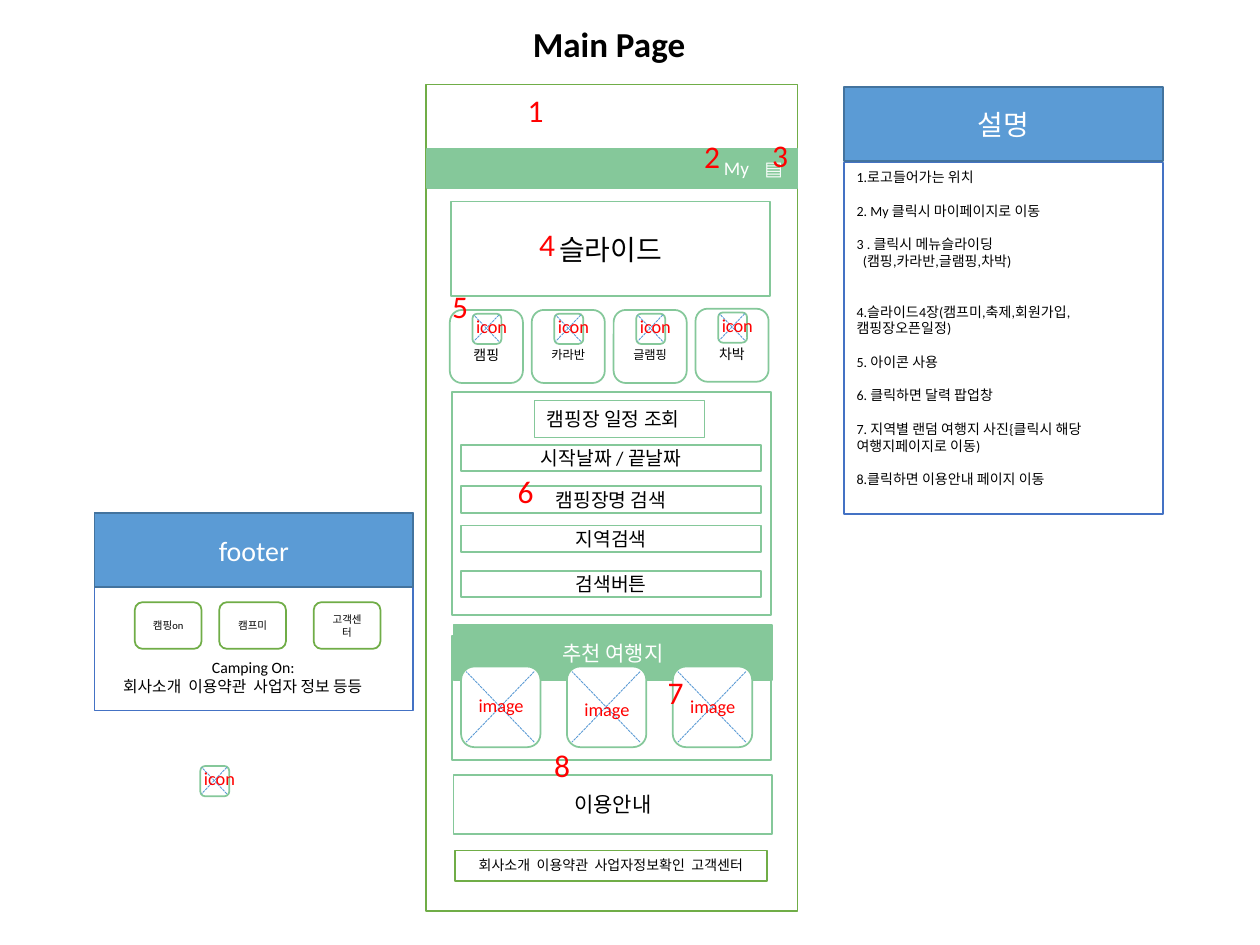
"""Build the annotated wireframe of a camping site's main page."""
from lxml.etree import SubElement
from pptx import Presentation
from pptx.dml.color import RGBColor
from pptx.enum.dml import MSO_LINE
from pptx.enum.shapes import MSO_CONNECTOR, MSO_SHAPE
from pptx.enum.text import MSO_ANCHOR, MSO_AUTO_SIZE, PP_ALIGN
from pptx.oxml.ns import qn
from pptx.util import Inches, Pt

WHITE = RGBColor(0xFF, 0xFF, 0xFF)
BLACK = RGBColor(0, 0, 0)
RED = RGBColor(0xFF, 0, 0)
MINT = RGBColor(0x85, 0xC8, 0x9A)
GREEN = RGBColor(0x70, 0xAD, 0x47)
BLUE = RGBColor(0x5B, 0x9B, 0xD5)
NAVY = RGBColor(0x43, 0x73, 0x9E)
ROYAL = RGBColor(0x44, 0x72, 0xC4)
RECT, ROUND = MSO_SHAPE.RECTANGLE, MSO_SHAPE.ROUNDED_RECTANGLE
LEFT, CENTER = PP_ALIGN.LEFT, PP_ALIGN.CENTER
TOP, MIDDLE = MSO_ANCHOR.TOP, MSO_ANCHOR.MIDDLE


def box(layer, at, kind=None, fill=None, line=None, text="", size=11, color=BLACK,
        bold=False, align=CENTER, anchor=MIDDLE, wrap=True, grow=False, inset=0.05, weight=1):
    place = [Inches(value) for value in at]
    if kind is None:
        part = layer.add_textbox(*place)
    else:
        part = layer.add_shape(kind, *place)
        part.shadow.inherit = False
        part.line.color.rgb = line
        part.line.width = Pt(weight)
        if fill is None:
            part.fill.background()
        else:
            part.fill.solid()
            part.fill.fore_color.rgb = fill
    frame = part.text_frame
    frame.text = text
    sizing = MSO_AUTO_SIZE.SHAPE_TO_FIT_TEXT if grow else MSO_AUTO_SIZE.NONE
    frame_format = {"word_wrap": wrap, "auto_size": sizing,
                    "vertical_anchor": anchor, "margin_top": Inches(inset)}
    for name, value in frame_format.items():
        setattr(frame, name, value)
    font_format = {"name": "Calibri", "size": Pt(size), "bold": bold}
    for paragraph in frame.paragraphs:
        paragraph.alignment = align
        for run in paragraph.runs:
            run.font.color.rgb = color
            for name, value in font_format.items():
                setattr(run.font, name, value)
    return part


def cross(layer, left, top, width, height):
    right, bottom = left + width, top + height
    for start, end in (((right, bottom), (left, top)), ((right, top), (left, bottom))):
        diagonal = layer.add_connector(
            MSO_CONNECTOR.STRAIGHT, *[Inches(value) for value in start + end])
        diagonal.line.color.rgb = BLUE
        diagonal.line.width = Pt(0.5)
        diagonal.line.dash_style = MSO_LINE.SQUARE_DOT
        SubElement(diagonal._element.spPr, qn("a:effectLst"))


prs = Presentation()
prs.slide_width, prs.slide_height = Inches(10), Inches(7.5)
page = prs.slides.add_slide(prs.slide_layouts[6]).shapes
note = {"align": LEFT, "anchor": TOP, "grow": True}

box(page, (4.13, 0.13, 1.42, 0.44), text="Main Page", size=20, bold=True, wrap=False, **note)
box(page, (3.38, 0.67, 2.95, 6.56), RECT, WHITE, GREEN)
box(page, (3.39, 1.18, 2.94, 0.31), RECT, MINT, MINT)
box(page, (5.61, 1.2, 0.47, 0.26), RECT, None, MINT, "My", color=WHITE)
box(page, (5.97, 1.2, 0.32, 0.26), RECT, None, MINT, "▤", color=WHITE)
box(page, (3.58, 1.6, 2.53, 0.75), RECT, None, MINT, "슬라이드", 16)

search = page.add_group_shape().shapes
box(search, (3.59, 3.11, 2.53, 1.77), RECT, WHITE, MINT)
box(search, (4.24, 3.18, 1.35, 0.29), RECT, None, MINT, "캠핑장 일정 조회",
    wrap=False, weight=0.75, **note)
for field, top in (("시작날짜 / 끝날짜", 3.53), ("캠핑장명 검색", 3.86),
                   ("지역검색", 4.17), ("검색버튼", 4.53)):
    box(search, (3.66, top, 2.38, 0.21), RECT, None, MINT, field)

icon_spots = [(1.59, 6.08)]
for index, (category, size, top) in enumerate(
        (("캠핑", 8, 2.46), ("카라반", 7, 2.46), ("글램핑", 7, 2.46), ("차박", 8, 2.45))):
    left = 3.57 + 0.65 * index
    box(page, (left, top, 0.58, 0.58), ROUND, WHITE, MINT, category, size, inset=0.18)
    icon_spots.append((left + 0.18, top + 0.03))
for left, top in icon_spots:
    icon = page.add_group_shape().shapes
    box(icon, (left, top, 0.23, 0.24), ROUND, WHITE, MINT)
    cross(icon, left + 0.01, top + 0.01, 0.2, 0.21)
    box(icon, (left - 0.07, top - 0.04, 0.45, 0.28), text="icon", size=10.5, color=RED, **note)

box(page, (3.59, 5.05, 2.53, 0.98), RECT, WHITE, MINT)
box(page, (3.6, 4.96, 2.53, 0.44), RECT, MINT, MINT, "추천 여행지", 12, WHITE)
for index, caption_top in enumerate((5.46, 5.49, 5.47)):
    left = 3.66 + 0.84 * index
    box(page, (left, 5.29, 0.63, 0.64), ROUND, WHITE, MINT)
    cross(page, left + 0.04, 5.33, 0.54, 0.56)
    box(page, (left + 0.04, caption_top, 0.83, 0.28), text="image", size=10.5, color=RED, **note)

box(page, (3.6, 6.15, 2.53, 0.47), RECT, None, MINT, "이용안내", 12)
box(page, (3.61, 6.75, 2.48, 0.24), RECT, WHITE, GREEN,
    "회사소개  이용약관  사업자정보확인  고객센터", 8, anchor=TOP, grow=True)

descriptions = (
    ("1.로고들어가는 위치", 0),
    ("2. My 클릭시 마이페이지로 이동", 1),
    ("3 . 클릭시 메뉴슬라이딩", 1),
    ("(캠핑,카라반,글램핑,차박)", 0),
    ("4.슬라이드4장(캠프미,축제,회원가입,캠핑장오픈일정)", 2),
    ("5. 아이콘 사용", 1),
    ("6. 클릭하면 달력 팝업창", 1),
    ("7. 지역별 랜덤 여행지 사진{클릭시 해당 여행지페이지로 이동)", 1),
    ("8.클릭하면 이용안내 페이지 이동", 1),
)
guide = box(page, (6.7, 1.29, 2.53, 2.79), RECT, WHITE, ROYAL,
            "\n".join(text for text, gap in descriptions), 8, **note)
for paragraph, (text, gap) in zip(guide.text_frame.paragraphs, descriptions):
    paragraph.space_before = Pt(9.6 * gap)
    if text.startswith("("):
        paragraph._p.get_or_add_pPr().set("marL", str(Inches(0.05)))
box(page, (6.7, 0.69, 2.53, 0.59), RECT, BLUE, NAVY, "설명", 16, WHITE)

box(page, (0.75, 4.07, 2.53, 1.57), RECT, WHITE, ROYAL)
box(page, (0.75, 4.07, 2.53, 0.59), RECT, BLUE, NAVY, "footer", 16, WHITE)
for label, left in (("캠핑on", 1.07), ("캠프미", 1.74), ("고객센터", 2.49)):
    box(page, (left, 4.78, 0.53, 0.37), ROUND, WHITE, GREEN, label, 6)
company = box(page, (0.88, 5.02, 2.26, 0.56), size=9, wrap=False, inset=0.2, grow=True,
              anchor=TOP, text="Camping On:\n회사소개  이용약관  사업자 정보 등등")
company.text_frame.paragraphs[1].alignment = LEFT

markers = ((4.09, 0.67), (5.49, 1.04), (6.03, 1.03), (4.18, 1.74),
           (3.49, 2.23), (4.01, 3.7), (5.2, 5.29), (4.3, 5.87))
for number, (left, top) in enumerate(markers, 1):
    box(page, (left, top, 0.33, 0.4), text=str(number), size=18, color=RED, **note)

prs.save("out.pptx")
